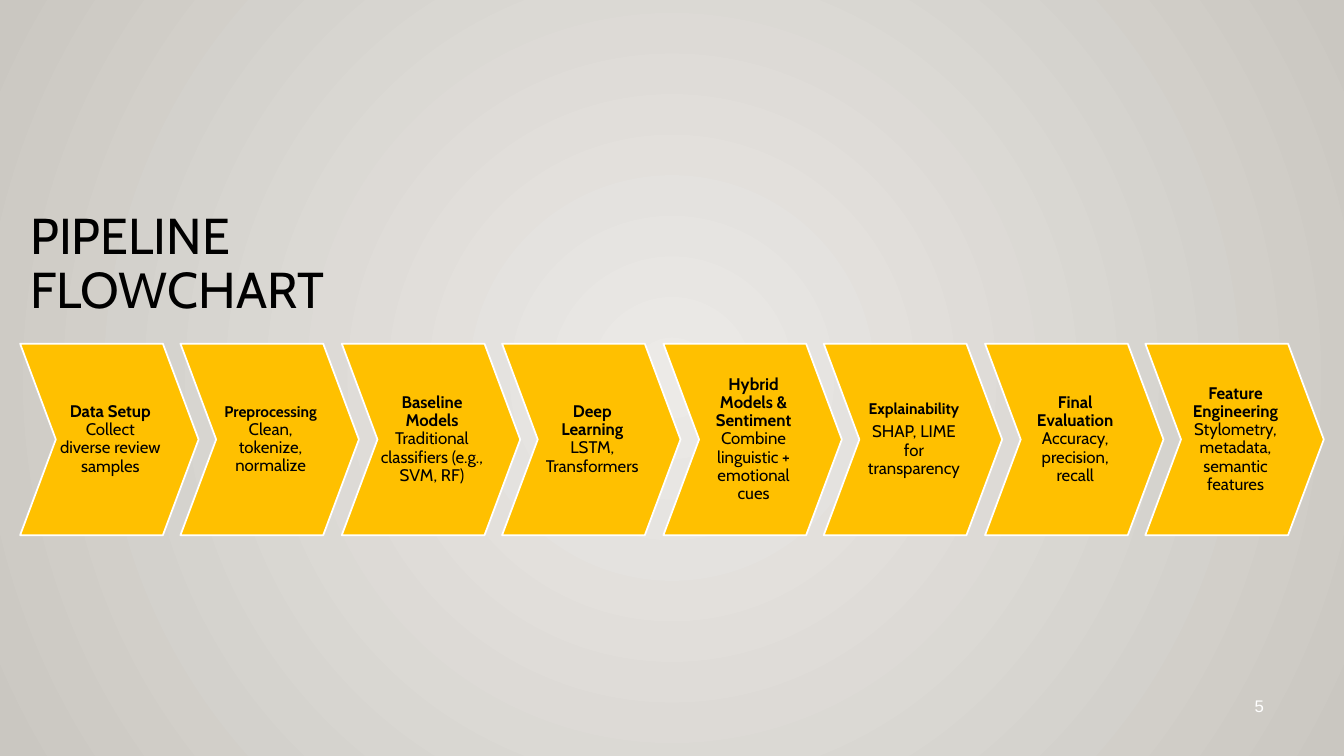
"""Build the pipeline flowchart slide: a title above a row of eight chevrons."""
from lxml import etree
from pptx import Presentation
from pptx.dml.color import RGBColor
from pptx.enum.shapes import MSO_SHAPE
from pptx.enum.text import MSO_ANCHOR, MSO_AUTO_SIZE, PP_ALIGN
from pptx.oxml import parse_xml
from pptx.util import Pt

PX = 9144
CHEVRON = MSO_SHAPE.CHEVRON
TOP, MIDDLE = MSO_ANCHOR.TOP, MSO_ANCHOR.MIDDLE
LEFT, CENTER = PP_ALIGN.LEFT, PP_ALIGN.CENTER
NO_AUTOFIT = MSO_AUTO_SIZE.NONE
DRAWING_NS = "http://schemas.openxmlformats.org/drawingml/2006/main"

THEME = {
    "font": "Cabin",
    "number_font": "Arial",
    "ink": RGBColor.from_string("000000"),
    "white": RGBColor.from_string("FFFFFF"),
    "step": RGBColor.from_string("FFC000"),
    "center": RGBColor.from_string("ECEAE7"),
    "edge": RGBColor.from_string("CAC7C1"),
    "title_size": Pt(36),
    "text_size": Pt(12),
    "small_size": Pt(11),
}

STEPS = [
    ("Data Setup", "Collect diverse review samples"),
    ("Preprocessing", "Clean, tokenize, normalize"),
    ("Baseline Models", "Traditional classifiers (e.g., SVM, RF)"),
    ("Deep Learning", "LSTM, Transformers"),
    ("Hybrid Models & Sentiment", "Combine linguistic + emotional cues"),
    ("Explainability", "SHAP, LIME for transparency"),
    ("Final Evaluation", "Accuracy, precision, recall"),
    ("Feature Engineering", "Stylometry, metadata, semantic features"),
]
SMALL_HEADINGS = {"Preprocessing", "Explainability"}
SPLIT_HEADINGS = {"Explainability"}
ROW_LEFT, ROW_TOP, LAST_LEFT = 20, 341, 1136
STEP_WIDTH, STEP_HEIGHT = 177, 190


def place(shape, left, top, width, height):
    """Move and size a shape in px."""
    shape.left, shape.top = left * PX, top * PX
    shape.width, shape.height = width * PX, height * PX


def style_paragraph(para, font_name, color, size, align):
    """Set the font, size, colour and alignment of a paragraph."""
    para.alignment = align
    para.font.name = font_name
    para.font.color.rgb = color
    para.font.size = size


deck = Presentation()
deck.slide_width, deck.slide_height = 1333 * PX, 750 * PX
page = deck.slides.add_slide(deck.slide_layouts[5])

backdrop = page.background.fill
backdrop.gradient()
for stop, shade in zip(backdrop.gradient_stops, (THEME["center"], THEME["edge"])):
    stop.color.rgb = shade
linear = next(page.background._cSld.iter(f"{{{DRAWING_NS}}}lin"))
radial = parse_xml(f'<a:path xmlns:a="{DRAWING_NS}" path="circle"/>')
etree.SubElement(radial, f"{{{DRAWING_NS}}}fillToRect",
                 {side: "50000" for side in "ltrb"})
linear.getparent().replace(linear, radial)

title = page.shapes.title
place(title, 20, 204, 510, 190)
title.text_frame.text = "PIPELINE FLOWCHART"
title.text_frame.vertical_anchor = TOP
title.text_frame.auto_size = NO_AUTOFIT
title_para = title.text_frame.paragraphs[0]
title_para.line_spacing = 0.9
style_paragraph(title_para, THEME["font"], THEME["ink"], THEME["title_size"], LEFT)

number_box = page.shapes.add_textbox(1224 * PX, 680 * PX, 50 * PX, 40 * PX)
number_box.text_frame.word_wrap = True
number_box.text_frame.vertical_anchor = MIDDLE
number_box.text_frame.text = "5"
style_paragraph(number_box.text_frame.paragraphs[0], THEME["number_font"],
                THEME["white"], THEME["text_size"], CENTER)

pitch = (LAST_LEFT - ROW_LEFT) / (len(STEPS) - 1)
for index, (heading, detail) in enumerate(STEPS):
    step = page.shapes.add_shape(CHEVRON, 0, 0, 0, 0)
    place(step, round(ROW_LEFT + index * pitch), ROW_TOP, STEP_WIDTH, STEP_HEIGHT)
    step.adjustments[0] = 0.2
    step.shadow.inherit = False
    step.fill.solid()
    step.fill.fore_color.rgb = THEME["step"]
    step.line.color.rgb = THEME["white"]
    step.line.width = Pt(1.25)

    frame = step.text_frame
    frame.word_wrap = True
    frame.vertical_anchor = MIDDLE
    frame.margin_left = 3 * PX
    frame.margin_right = frame.margin_top = frame.margin_bottom = 1 * PX

    heading_para = frame.paragraphs[0]
    heading_span = heading_para.add_run()
    heading_span.font.bold = True
    if heading in SMALL_HEADINGS:
        heading_span.font.size = THEME["small_size"]
    if heading in SPLIT_HEADINGS:
        heading_span.text = heading
        detail_para = frame.add_paragraph()
    else:
        heading_span.text = heading + " "
        detail_para = heading_para
    detail_para.add_run().text = detail

    for para in frame.paragraphs:
        style_paragraph(para, THEME["font"], THEME["ink"], THEME["text_size"], CENTER)
        para.line_spacing = 0.9
        para.space_after = Pt(4)

deck.save("out.pptx")
